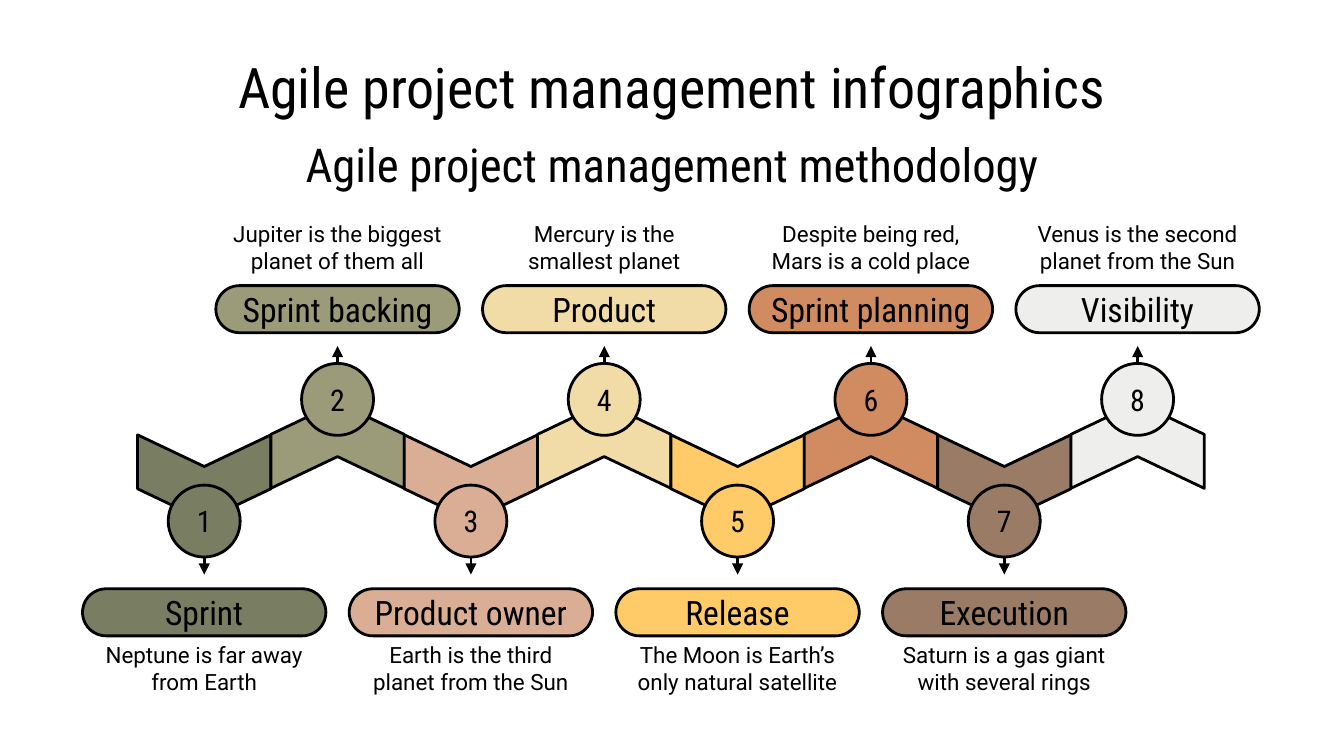
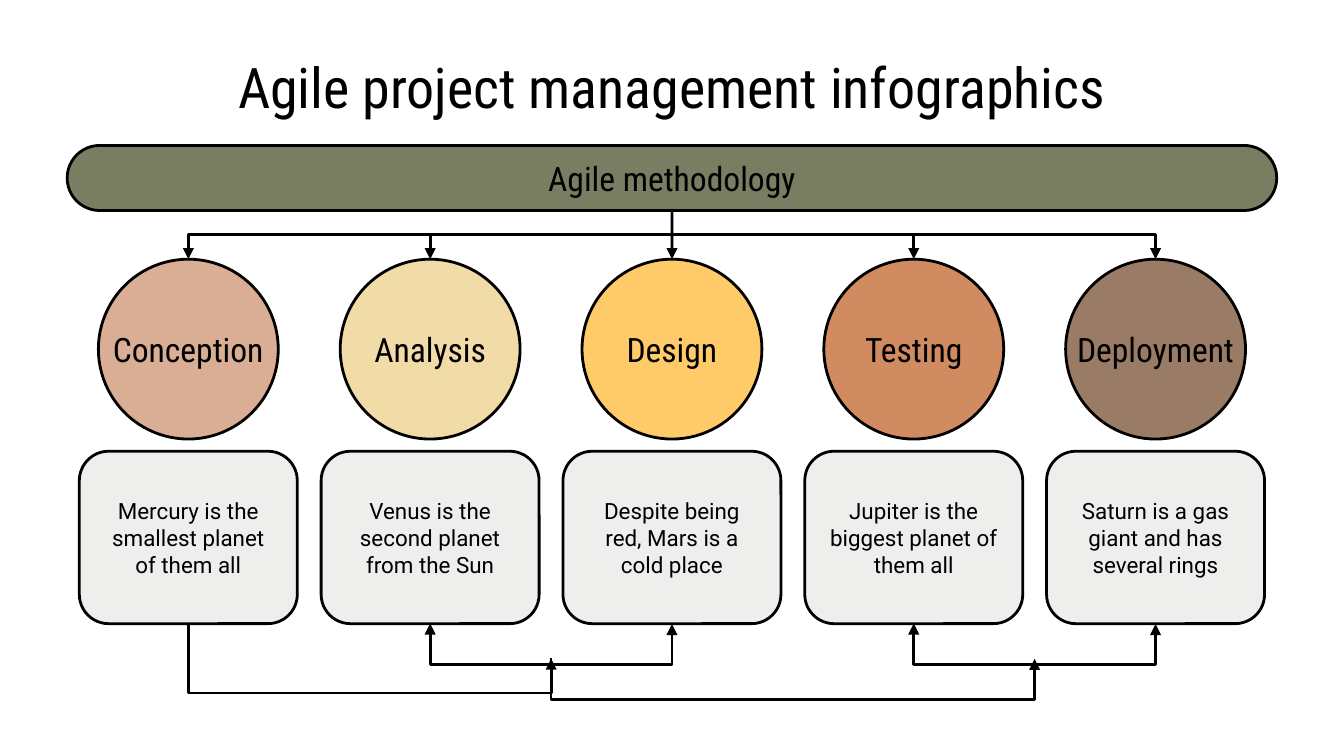
from dataclasses import dataclass

from lxml import etree
from pptx import Presentation
from pptx.dml.color import RGBColor
from pptx.enum import shapes, text
from pptx.oxml.ns import qn
from pptx.util import Cm, Pt


@dataclass(frozen=True)
class Theme:
    black: str = "000000"
    olive: str = "797D62"
    sage: str = "9B9B7A"
    pink: str = "D9AE94"
    cream: str = "F1DCA7"
    yellow: str = "FFCB69"
    orange: str = "D08C60"
    brown: str = "997B66"
    gray: str = "EEEEED"
    heading_font: str = "Roboto Condensed"
    body_font: str = "Roboto"
    title_size: int = 30
    subtitle_size: int = 25
    label_size: int = 18
    number_size: int = 16
    body_size: int = 12
    line_width: float = 1.5
    inset: float = 0.25


THEME = Theme()
SLIDE_WIDTH, SLIDE_HEIGHT = 25.4, 14.29

TITLE = "Agile project management infographics"
SUBTITLE = "Agile project management methodology"
STAGES = [
    ("Sprint", "Neptune is far away from Earth", THEME.olive),
    ("Sprint backing", "Jupiter is the biggest planet of them all", THEME.sage),
    ("Product owner", "Earth is the third planet from the Sun", THEME.pink),
    ("Product", "Mercury is the smallest planet", THEME.cream),
    ("Release", "The Moon is Earth’s only natural satellite", THEME.yellow),
    ("Sprint planning", "Despite being red, Mars is a cold place", THEME.orange),
    ("Execution", "Saturn is a gas giant with several rings", THEME.brown),
    ("Visibility", "Venus is the second planet from the Sun", THEME.gray),
]

METHODOLOGY = "Agile methodology"
PHASES = [
    ("Conception", "Mercury is the smallest planet of them all", THEME.pink),
    ("Analysis", "Venus is the second planet from the Sun", THEME.cream),
    ("Design", "Despite being red, Mars is a cold place", THEME.yellow),
    ("Testing", "Jupiter is the biggest planet of them all", THEME.orange),
    ("Deployment", "Saturn is a gas giant and has several rings", THEME.brown),
]

# Vertical places (cm) of the stages below and above the zigzag
BELOW = dict(chevron=9.03, circle=9.85, pill=11.13, caption=11.84, rotation=90, outward=1)
ABOVE = dict(chevron=8.42, circle=7.55, pill=5.4, caption=3.89, rotation=270, outward=-1)


def write(shape, wording, size, font=THEME.heading_font, anchor=text.MSO_ANCHOR.MIDDLE):
    frame = shape.text_frame
    frame.text = wording
    frame.word_wrap = True
    frame.vertical_anchor = anchor
    frame.margin_left = frame.margin_right = Cm(THEME.inset)
    frame.margin_top = frame.margin_bottom = Cm(THEME.inset)
    for paragraph in frame.paragraphs:
        paragraph.alignment = text.PP_ALIGN.CENTER
        for run in paragraph.runs:
            run.font.name = font
            run.font.size = Pt(size)
            run.font.color.rgb = RGBColor.from_string(THEME.black)


def add_text(slide, center, top, width, height, wording, size, **style):
    box = slide.shapes.add_textbox(Cm(center - width / 2), Cm(top), Cm(width), Cm(height))
    write(box, wording, size, **style)


def add_outlined(slide, kind, center, top, width, height, color, adjustment=None):
    """Add a filled shape with the common outline, centred on a vertical axis."""
    shape = slide.shapes.add_shape(
        kind, Cm(center - width / 2), Cm(top), Cm(width), Cm(height))
    shape.shadow.inherit = False
    shape.fill.solid()
    shape.fill.fore_color.rgb = RGBColor.from_string(color)
    shape.line.color.rgb = RGBColor.from_string(THEME.black)
    shape.line.width = Pt(THEME.line_width)
    if adjustment is not None:
        shape.adjustments[0] = adjustment
    return shape


def style_connector(connector, ends=("tailEnd",)):
    connector.line.color.rgb = RGBColor.from_string(THEME.black)
    connector.line.width = Pt(THEME.line_width)
    properties = connector._element.spPr
    outline = properties.find(qn("a:ln"))
    for end in ends:
        etree.SubElement(outline, qn(f"a:{end}"), type="triangle")
    etree.SubElement(properties, qn("a:effectLst"))


def add_arrow(slide, start, end):
    connector = slide.shapes.add_connector(
        shapes.MSO_CONNECTOR.STRAIGHT, *(Cm(value) for value in (*start, *end)))
    style_connector(connector)
    return connector


def add_elbow(slide, start, end, bend, ends=("tailEnd",)):
    """Go vertically from start to height bend, across, then vertically to end."""
    (start_x, start_y), (end_x, end_y) = start, end
    drop, span = max(end_y - start_y, 0.01), abs(end_x - start_x)
    left = (start_x + end_x - drop) / 2
    top = (start_y + end_y - span) / 2
    connector = slide.shapes.add_connector(
        shapes.MSO_CONNECTOR.ELBOW, Cm(left), Cm(top), Cm(left + drop), Cm(top + span))
    properties = connector._element.spPr
    # The preset runs sideways first, so it is turned a quarter
    if end_x > start_x:
        properties.xfrm.set("rot", "16200000")
        properties.xfrm.set("flipH", "1")
    else:
        properties.xfrm.set("rot", "5400000")
    ratio = round((bend - start_y) / drop * 100000)
    guides = properties.find(qn("a:prstGeom")).get_or_add_avLst()
    etree.SubElement(guides, qn("a:gd"), name="adj1", fmla=f"val {ratio}")
    style_connector(connector, ends)


def add_titled_slide(presentation):
    slide = presentation.slides.add_slide(presentation.slide_layouts[6])
    add_text(slide, SLIDE_WIDTH / 2, 0.74, 22.86, 1.6, TITLE, THEME.title_size,
             anchor=text.MSO_ANCHOR.TOP)
    return slide


def build_zigzag(presentation):
    slide = add_titled_slide(presentation)
    add_text(slide, SLIDE_WIDTH / 2, 2.31, 18.75, 1.57, SUBTITLE, THEME.subtitle_size,
             anchor=text.MSO_ANCHOR.TOP)
    first_center, pitch = 3.86, 2.52
    thickness, diameter, arrow_length, label_width = 1.62, 1.36, 0.33, 4.6

    for index, (label, caption, color) in enumerate(STAGES):
        row = ABOVE if index % 2 else BELOW
        center = first_center + index * pitch
        chevron = add_outlined(
            slide, shapes.MSO_SHAPE.CHEVRON, center, row["chevron"] - pitch / 2,
            thickness, pitch, color, 0.37)
        chevron.rotation = row["rotation"]
        circle = add_outlined(
            slide, shapes.MSO_SHAPE.OVAL, center, row["circle"] - diameter / 2,
            diameter, diameter, color)
        write(circle, str(index + 1), THEME.number_size)
        edge = row["circle"] + row["outward"] * diameter / 2
        add_arrow(slide, (center, edge), (center, edge + row["outward"] * arrow_length))
        add_text(slide, center, row["caption"], label_width, 1.57, caption,
                 THEME.body_size, font=THEME.body_font)
        pill = add_outlined(slide, shapes.MSO_SHAPE.ROUNDED_RECTANGLE, center,
                            row["pill"], label_width, 0.89, color, 0.5)
        write(pill, label, THEME.label_size)


def build_phases(presentation):
    slide = add_titled_slide(presentation)
    middle, pitch = SLIDE_WIDTH / 2, 4.57
    centers = [middle + (index - 2) * pitch for index in range(len(PHASES))]
    bar_top, bar_height, bar_bend = 2.75, 1.23, 4.44
    circle_top, diameter = 4.9, 3.4
    label_height = 1.04
    box_top, box_width, box_height = 8.53, 4.12, 3.26
    bar_bottom, box_bottom = bar_top + bar_height, box_top + box_height

    bar = add_outlined(slide, shapes.MSO_SHAPE.ROUNDED_RECTANGLE, middle, bar_top,
                       22.86, bar_height, THEME.olive, 0.5)
    write(bar, METHODOLOGY, THEME.label_size)

    for center, (label, caption, color) in zip(centers, PHASES):
        box = add_outlined(slide, shapes.MSO_SHAPE.ROUNDED_RECTANGLE, center, box_top,
                           box_width, box_height, THEME.gray, 0.17)
        write(box, caption, THEME.body_size, font=THEME.body_font)
        circle = add_outlined(slide, shapes.MSO_SHAPE.OVAL, center, circle_top,
                              diameter, diameter, color)
        add_text(slide, center, circle_top + diameter / 2 - label_height / 2, 4.4,
                 label_height, label, THEME.label_size)
        start, end = (middle, bar_bottom), (center, circle_top)
        if center == middle:
            arrow = add_arrow(slide, start, end)
            arrow.begin_connect(bar, 2)
            arrow.end_connect(circle, 0)
        else:
            add_elbow(slide, start, end, bar_bend)

    pair_bend, joint_y = 12.57, 12.45
    joints = []
    for left, right in (centers[1:3], centers[3:5]):
        add_elbow(slide, (left, box_bottom), (right, box_bottom), pair_bend,
                  ends=("headEnd", "tailEnd"))
        joints.append(((left + right) / 2, joint_y))
    add_elbow(slide, (centers[0], box_bottom), joints[0], 13.1)
    add_elbow(slide, joints[0], joints[1], 13.23)


def main():
    presentation = Presentation()
    presentation.slide_width = Cm(SLIDE_WIDTH)
    presentation.slide_height = Cm(SLIDE_HEIGHT)
    build_zigzag(presentation)
    build_phases(presentation)
    presentation.save("out.pptx")


if __name__ == "__main__":
    main()
